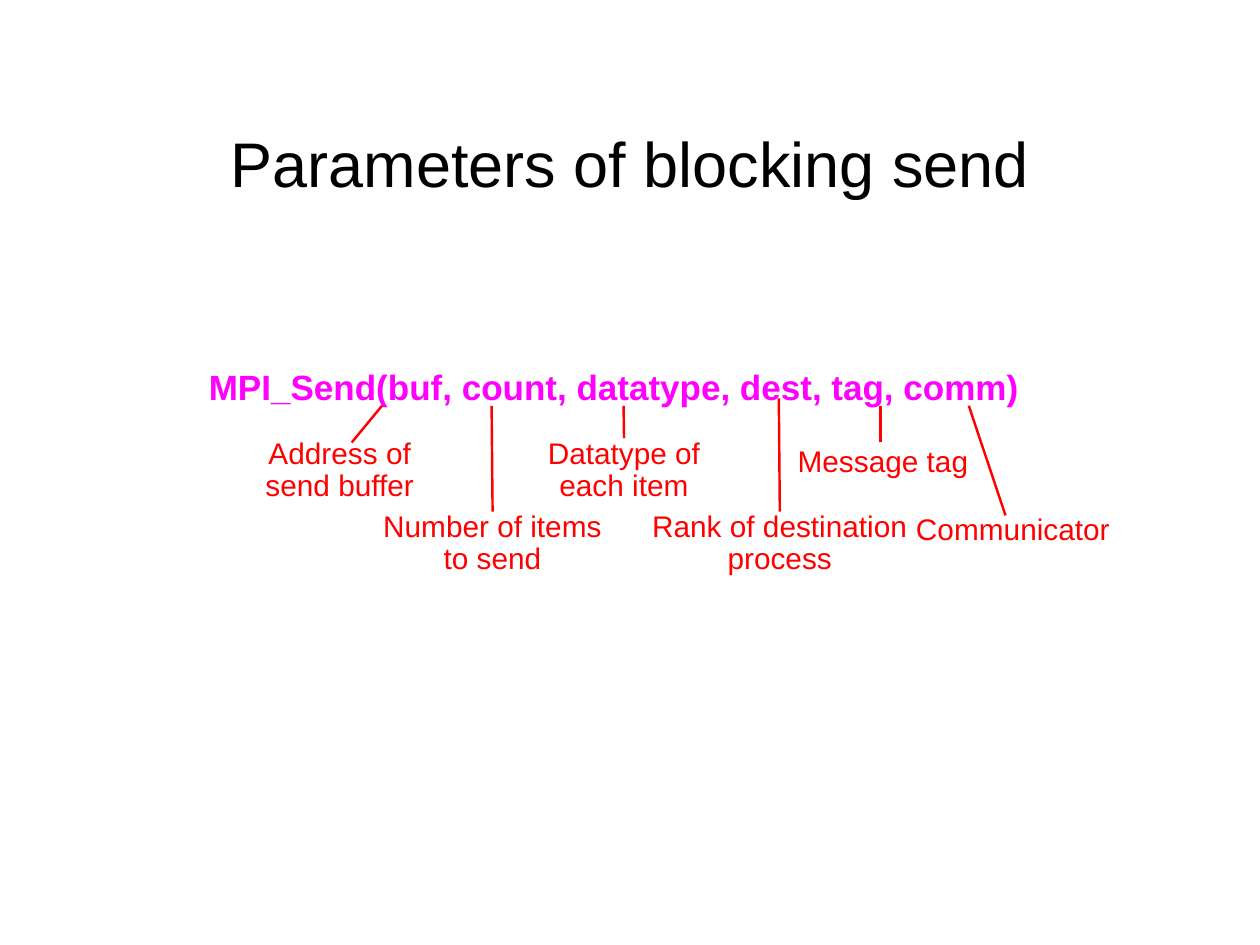
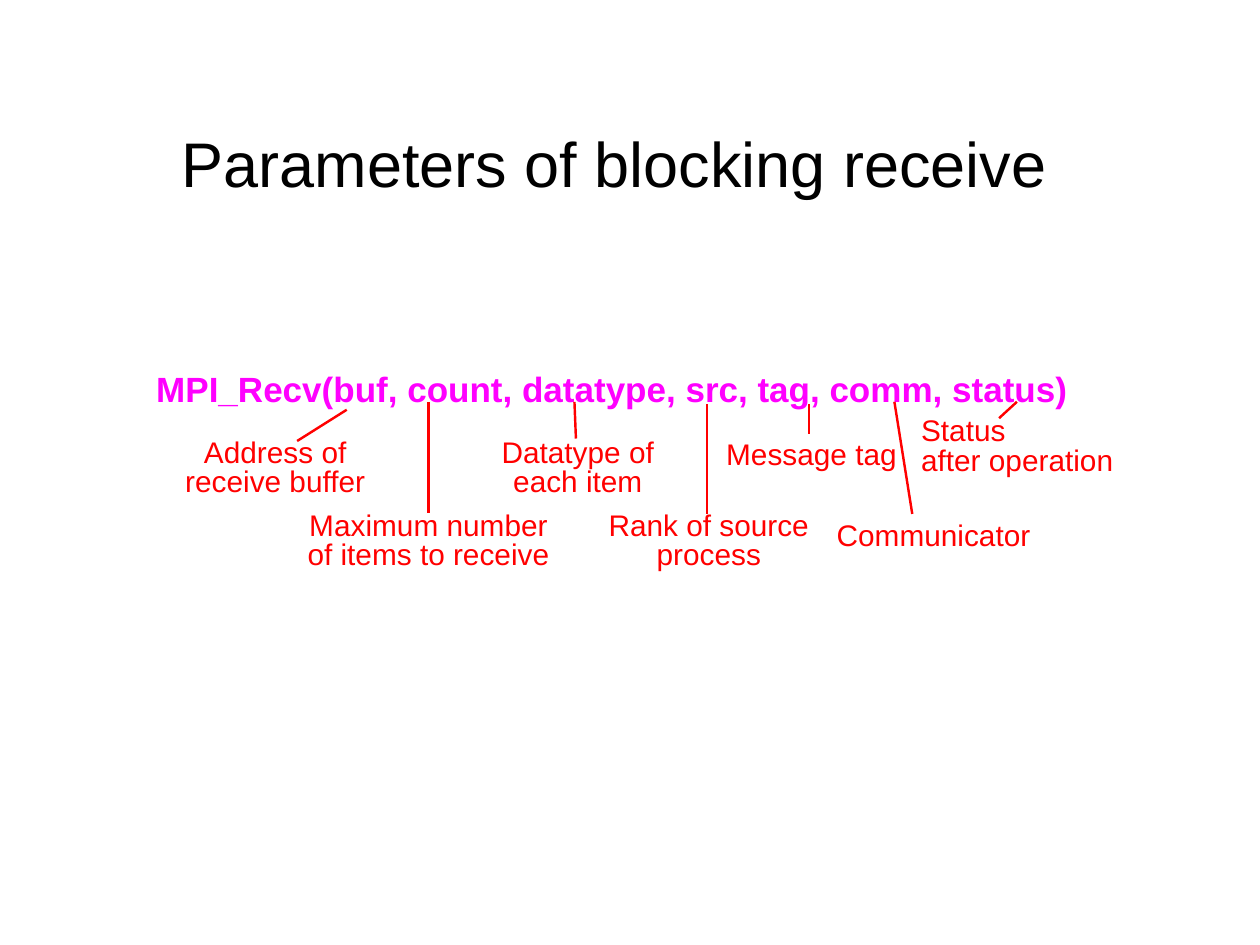
from pptx import Presentation
from pptx.dml.color import RGBColor
from pptx.enum.shapes import MSO_CONNECTOR
from pptx.enum.text import MSO_ANCHOR, PP_ALIGN as Align
from pptx.oxml.ns import qn
from pptx.util import Cm, Pt
from lxml.etree import SubElement

# Shared style
BLACK = RGBColor(0x00, 0x00, 0x00)
MAGENTA = RGBColor(0xFF, 0x00, 0xFF)
RED = RGBColor(0xFF, 0x00, 0x00)
FONT = "Arial"
LABEL_SIZE = 17
NATURAL_SPACING = 20.4  # single line height of the label font, in points

# Labels: lines of text, (centre, top, width) in cm, start of the pointer,
# and its end, or None where it joins the middle of the label's top
SEND_LABELS = [
    (["Address of", "send buffer"], (6.85, 8.76, 3.4), (7.7, 8.18), (7.09, 8.92)),
    (["Number of items", "to send"], (9.93, 10.24, 4.8), (9.91, 8.18), None),
    (["Datatype of", "each item"], (12.58, 8.76, 3.5), (12.57, 8.18), None),
    (["Rank of destination", "process"], (15.72, 10.24, 5.5), (15.7, 8.03), None),
    (["Message tag"], (17.8, 8.92, 3.8), (17.75, 8.18), (17.75, 8.92)),
    (["Communicator"], (20.42, 10.29, 4.3), (19.53, 8.18), (20.27, 10.39)),
]
RECEIVE_LABELS = [
    (["Address of", "receive buffer"], (5.55, 8.74, 4), (6.99, 8.26), (5.99, 8.89)),
    (["Maximum number", "of items to receive"], (8.64, 10.21, 5.3), (8.64, 8.1), None),
    (["Datatype of", "each item"], (11.65, 8.74, 3.5), (11.58, 8.1), (11.61, 8.84)),
    (["Rank of source", "process"], (14.29, 10.21, 4.5), (14.25, 8.15), (14.25, 10.36)),
    (["Message tag"], (16.36, 8.79, 3.8), (16.31, 8.15), (16.31, 8.74)),
    (["Communicator"], (18.82, 10.41, 4.3), (18.03, 8.1), (18.39, 10.36)),
]
STATUS_LABEL = (["Status", "after operation"], (20.77, 8.31, 4.4),
                (20.5, 8.1), (20.14, 8.43))


def add_text(slide, lines, box, size, color, align, bold=False, spacing=None):
    """Add a text box without margins, one paragraph for each line."""
    shape = slide.shapes.add_textbox(*box)
    frame = shape.text_frame
    frame.word_wrap = True
    frame.margin_left = frame.margin_right = 0
    frame.margin_top = frame.margin_bottom = 0
    frame.text = "\n".join(lines)
    for paragraph in frame.paragraphs:
        paragraph.alignment = align
        paragraph.line_spacing = spacing
        font = paragraph.font
        font.name, font.size, font.bold = FONT, Pt(size), bold
        font.color.rgb = color
    return shape


def add_title(slide, text, left, width):
    title = add_text(slide, [text], (Cm(left), Cm(1.68), Cm(width), Cm(3.18)),
                     36, BLACK, Align.CENTER)
    title.text_frame.vertical_anchor = MSO_ANCHOR.MIDDLE


def add_call(slide, code, left, top, width):
    add_text(slide, [code], (Cm(left), Cm(top), Cm(width), Cm(0.84)),
             20, MAGENTA, Align.LEFT, bold=True)


def add_label(slide, lines, place, start, end, spacing, align=Align.CENTER):
    """Add a label and the pointer that leads to it from a parameter."""
    center, top, width = place
    # A fixed spacing lifts the first line, so lower the box to make up for it
    box = (Cm(center - width / 2), Cm(top) + Pt(NATURAL_SPACING - spacing),
           Cm(width), Pt(spacing * len(lines)))
    label = add_text(slide, lines, box, LABEL_SIZE, RED, align, spacing=Pt(spacing))
    end_x, end_y = end or start
    pointer = slide.shapes.add_connector(MSO_CONNECTOR.STRAIGHT, Cm(start[0]),
                                         Cm(start[1]), Cm(end_x), Cm(end_y))
    if end is None:
        pointer.end_connect(label, 0)
    pointer.line.color.rgb = RED
    pointer.line.width = Pt(1.39)
    SubElement(pointer._element.spPr, qn("a:effectLst"))


def main():
    presentation = Presentation()
    presentation.slide_width, presentation.slide_height = Cm(25.4), Cm(19.05)
    blank = presentation.slide_layouts[6]

    # Blocking send
    slide = presentation.slides.add_slide(blank)
    add_title(slide, "Parameters of blocking send", 1.9, 21.6)
    add_call(slide, "MPI_Send(buf, count, datatype, dest, tag, comm)", 4.21, 7.36, 17)
    for label in SEND_LABELS:
        add_label(slide, *label, spacing=18.3)

    # Blocking receive
    slide = presentation.slides.add_slide(blank)
    add_title(slide, "Parameters of blocking receive", 0, 24.77)
    add_call(slide, "MPI_Recv(buf, count, datatype, src, tag, comm, status)",
             3.15, 7.4, 19)
    for label in RECEIVE_LABELS:
        add_label(slide, *label, spacing=16.6)
    add_label(slide, *STATUS_LABEL, spacing=16.6, align=Align.LEFT)

    presentation.save("out.pptx")


if __name__ == "__main__":
    main()
